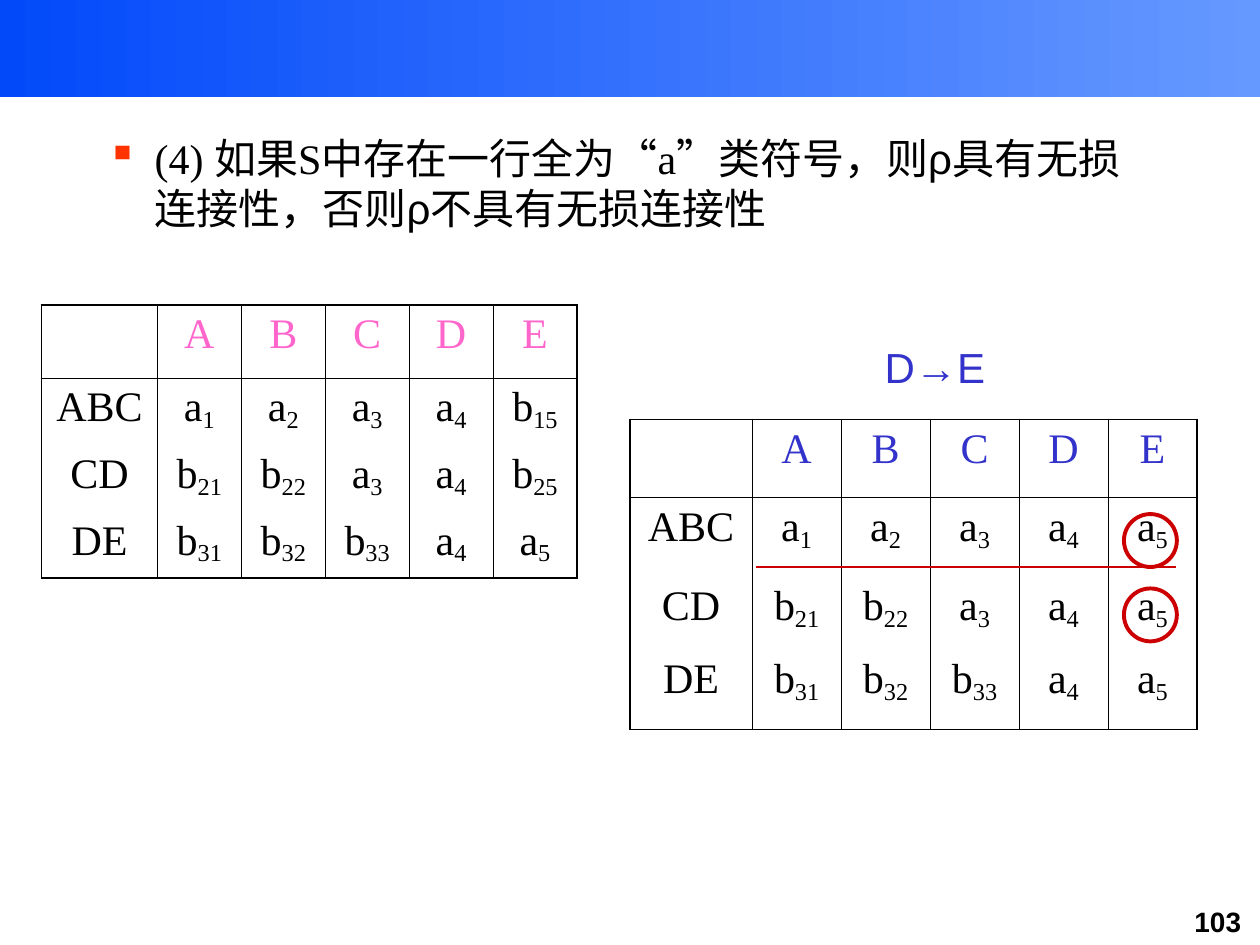
from lxml import etree
from pptx import Presentation
from pptx import util as u
from pptx.dml.color import RGBColor
from pptx.enum import shapes, text
from pptx.oxml.ns import qn

COLORS = {
    "band_start": "0249FA", "band_end": "6699FF", "ink": "000000",
    "bullet": "FF3300", "pink": "FF66CC", "blue": "3333CC", "mark": "CC0000",
}
SERIF, SANS = "Times New Roman", "Arial"
OUTER, THIN = 1.08, 0.45
ATTRIBUTES = ["", "A", "B", "C", "D", "E"]
BEFORE = [
    ["ABC", "a1", "a2", "a3", "a4", "b15"],
    ["CD", "b21", "b22", "a3", "a4", "b25"],
    ["DE", "b31", "b32", "b33", "a4", "a5"],
]
AFTER = [BEFORE[0][:-1] + ["a5"], BEFORE[1][:-1] + ["a5"], BEFORE[2]]


def rgb(name):
    """Return the named colour."""
    return RGBColor.from_string(COLORS[name])


def add_span(para, words, color="ink", face=SERIF, size=24, bold=False):
    """Append a formatted run to a paragraph."""
    span = para.add_run()
    span.text = words
    span.font.name, span.font.size, span.font.bold = face, u.Pt(size), bold
    span.font.color.rgb = rgb(color)
    return span


def add_box(slide, left, top, width, height):
    """Add a wrapping text box and return its first paragraph."""
    box = slide.shapes.add_textbox(*map(u.Inches, (left, top, width, height)))
    box.text_frame.word_wrap = True
    return box.text_frame.paragraphs[0]


def set_indent(para, margin, indent=0):
    """Set the left margin and first-line indent of a paragraph."""
    props = para._p.get_or_add_pPr()
    props.set("marL", str(u.Inches(margin)))
    props.set("indent", str(u.Inches(indent)))
    return props


def add_band(slide):
    """Add the gradient band across the top."""
    band = slide.shapes.add_shape(
        shapes.MSO_SHAPE.RECTANGLE, 0, 0, u.Inches(10), u.Inches(0.77))
    band.shadow.inherit = False
    band.line.fill.background()
    band.fill.gradient()
    band.fill.gradient_angle = 0
    for stop, name in zip(band.fill.gradient_stops, ("band_start", "band_end")):
        stop.color.rgb = rgb(name)


def add_rule_text(slide):
    """Add the bulleted statement of step four."""
    para = add_box(slide, 0.75, 1, 8.5, 1.17)
    props = set_indent(para, 0.38, -0.38)
    tint = etree.SubElement(props, qn("a:buClr"))
    etree.SubElement(tint, qn("a:srgbClr"), val=COLORS["bullet"])
    etree.SubElement(props, qn("a:buChar"), char="▪")
    add_span(para, "(4) 如果S中存在一行全为“a”类符号，则")
    for words in ("具有无损连接性，否则", "不具有无损连接性"):
        add_span(para, "ρ", face=SANS)
        add_span(para, words)


def set_borders(cell, widths):
    """Draw the left, right, top and bottom cell borders, None meaning no line."""
    props = cell._tc.get_or_add_tcPr()
    for place, (side, width) in enumerate(zip("LRTB", widths)):
        edge = etree.Element(qn(f"a:ln{side}"))
        props.insert(place, edge)
        if width is None:
            etree.SubElement(edge, qn("a:noFill"))
            continue
        edge.set("w", str(u.Pt(width)))
        fill = etree.SubElement(edge, qn("a:solidFill"))
        etree.SubElement(fill, qn("a:srgbClr"), val=COLORS["ink"])


def fill_cell(cell, words, color):
    """Write a centred cell entry, lowering the index of a symbol."""
    cell.fill.background()
    para = cell.text_frame.paragraphs[0]
    para.alignment = text.PP_ALIGN.CENTER
    stem = words.rstrip("0123456789")
    if stem:
        add_span(para, stem, color)
    if stem != words:
        index = add_span(para, words[len(stem):], color)
        index.font._element.set("baseline", "-16000")


def add_tableau(slide, place, first_width, heights, rows, head_color):
    """Add a symbol table with a ruled header and an unruled body."""
    left, top, width = place
    grid = [ATTRIBUTES] + rows
    last_row, last_col = len(grid) - 1, len(ATTRIBUTES) - 1
    table = slide.shapes.add_table(
        len(grid), len(ATTRIBUTES),
        *map(u.Inches, (left, top, width, sum(heights)))).table
    table.first_row = table.horz_banding = False
    for c, column in enumerate(table.columns):
        column.width = u.Inches((width - first_width) / last_col if c else first_width)
    for r, entries in enumerate(grid):
        table.rows[r].height = u.Inches(heights[r])
        for c, words in enumerate(entries):
            cell = table.cell(r, c)
            fill_cell(cell, words, "ink" if r else head_color)
            set_borders(cell, (
                THIN if c else OUTER,
                OUTER if c == last_col else THIN,
                {0: OUTER, 1: THIN}.get(r),
                {0: THIN, last_row: OUTER}.get(r)))


def add_ring(slide, top):
    """Circle a changed symbol in the last column."""
    ring = slide.shapes.add_shape(
        shapes.MSO_SHAPE.OVAL, *map(u.Inches, (8.92, top, 0.42, 0.42)))
    ring.shadow.inherit = False
    ring.fill.background()
    ring.line.color.rgb = rgb("mark")
    ring.line.width = u.Pt(2.25)


def add_underline(slide):
    """Underline the row made only of a-symbols."""
    line = slide.shapes.add_connector(
        shapes.MSO_CONNECTOR.STRAIGHT, *map(u.Inches, (6, 4.5, 9.33, 4.5)))
    line.line.color.rgb = rgb("mark")
    line.line.width = u.Pt(1.5)
    etree.SubElement(line._element.spPr, qn("a:effectLst"))


def main():
    """Build and save the slide."""
    deck = Presentation()
    deck.slide_width, deck.slide_height = u.Inches(10), u.Inches(7.5)
    page = deck.slides.add_slide(deck.slide_layouts[6])
    add_band(page)
    number = add_box(page, 9.33, 7.13, 0.67, 0.37)
    number.alignment = text.PP_ALIGN.CENTER
    add_span(number, "103", face=SANS, size=16, bold=True)
    add_rule_text(page)
    add_tableau(page, (5, 3.33, 4.5), 0.97, [0.62, 0.63, 0.58, 0.63], AFTER, "blue")
    dependency = add_box(page, 6.42, 2.58, 1.5, 0.58)
    dependency.alignment = text.PP_ALIGN.CENTER
    dependency.line_spacing = 1.2
    set_indent(dependency, 0.5)
    add_span(dependency, "D→E", "blue", SANS)
    for top in (4.08, 4.67):
        add_ring(page, top)
    add_tableau(page, (0.33, 2.42, 4.25), 0.92, [0.58] + [0.53] * 3, BEFORE, "pink")
    add_underline(page)
    deck.save("out.pptx")


if __name__ == "__main__":
    main()
